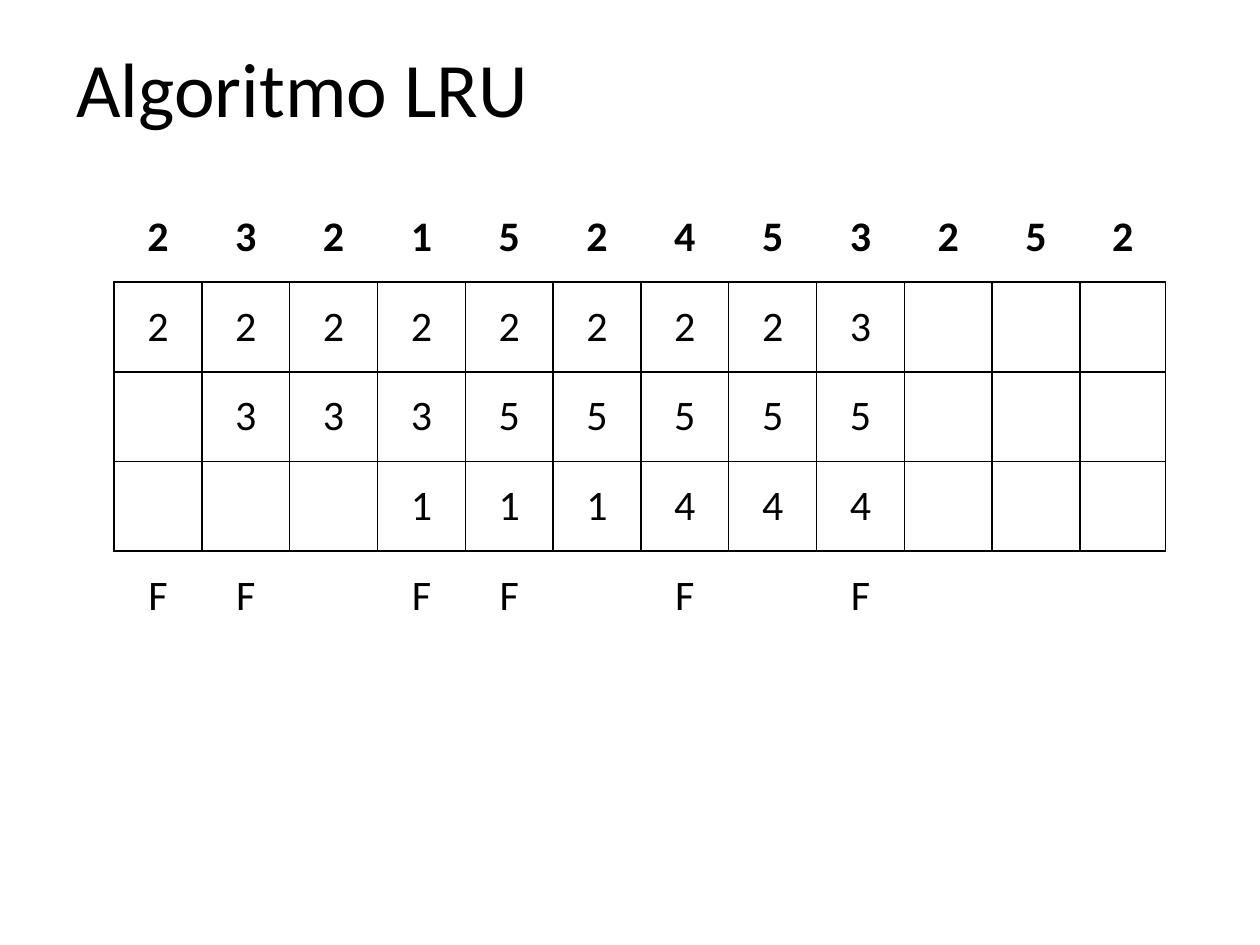
from pptx import Presentation
from pptx.dml.color import RGBColor
from pptx.enum.text import MSO_ANCHOR, PP_ALIGN
from pptx.oxml.ns import qn
from pptx.util import Pt
from lxml import etree

BLACK = RGBColor(0, 0, 0)
LEFT, CENTER = PP_ALIGN.LEFT, PP_ALIGN.CENTER
MIDDLE = MSO_ANCHOR.MIDDLE
FONT = "Calibri"

REFERENCES = "232152453252"
FRAMES = ["222222223   ", " 33355555   ", "   111444   "]
FAULTS = "FF FF F F   "
COL_WIDTH, LAST_COL_WIDTH, ROW_HEIGHT = 50.2, 49, 51.25


def set_text(tf, text, size, bold=False, align=LEFT):
    p = tf.paragraphs[0]
    p.alignment = align
    r = p.add_run()
    r.text = text
    r.font.name = FONT
    r.font.size = Pt(size)
    r.font.bold = bold
    r.font.color.rgb = BLACK


def add_title(s, text):
    sp = s.shapes.title
    sp.left, sp.top, sp.width, sp.height = Pt(36.5), Pt(21), Pt(357), Pt(57)
    sp.text_frame.vertical_anchor = MIDDLE
    set_text(sp.text_frame, text, size=44)


def set_borders(cell, visible):
    tcPr = cell._tc.get_or_add_tcPr()
    for side in "LRTB":
        ln = etree.SubElement(tcPr, qn(f"a:ln{side}"), w=str(Pt(1)))
        if side in visible:
            fill = etree.SubElement(ln, qn("a:solidFill"))
            etree.SubElement(fill, qn("a:srgbClr"), val=str(BLACK))
        else:
            etree.SubElement(ln, qn("a:noFill"))


def add_page_table(s, left, top):
    rows = [REFERENCES, *FRAMES, FAULTS]
    widths = [COL_WIDTH] * (len(REFERENCES) - 1) + [LAST_COL_WIDTH]
    table = s.shapes.add_table(
        len(rows), len(widths), Pt(left), Pt(top),
        Pt(sum(widths)), Pt(ROW_HEIGHT * len(rows)),
    ).table
    table.first_row = table.horz_banding = False
    for col, width in zip(table.columns, widths):
        col.width = Pt(width)
    borders = ["B"] + ["LRTB"] * len(FRAMES) + ["T"]
    for i, (row, visible) in enumerate(zip(rows, borders)):
        table.rows[i].height = Pt(ROW_HEIGHT)
        for j, text in enumerate(row):
            cell = table.cell(i, j)
            cell.vertical_anchor = MIDDLE
            set_borders(cell, visible)
            cell.fill.background()
            if text.strip():
                set_text(cell.text_frame, text, size=24, bold=i == 0, align=CENTER)


def main():
    prs = Presentation()
    prs.slide_width, prs.slide_height = Pt(720), Pt(540)
    s = prs.slides.add_slide(prs.slide_layouts[0])
    subtitle = s.placeholders[1].element
    subtitle.getparent().remove(subtitle)
    add_title(s, "Algoritmo LRU")
    add_page_table(s, left=65.2, top=110)
    prs.save("out.pptx")


if __name__ == "__main__":
    main()
